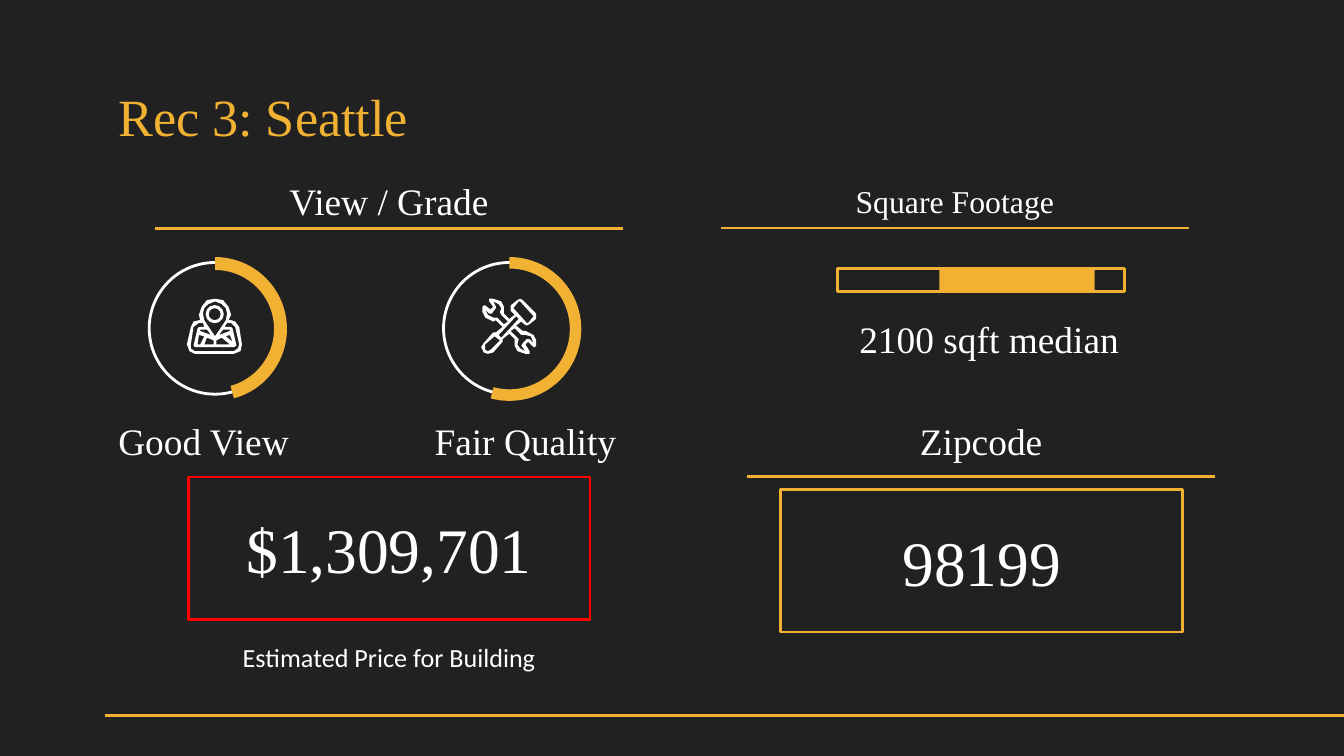
from lxml import etree
from pptx import Presentation
from pptx.dml.color import RGBColor
from pptx.enum.shapes import MSO_CONNECTOR, MSO_SHAPE
from pptx.enum.text import MSO_ANCHOR, MSO_AUTO_SIZE, PP_ALIGN
from pptx.oxml.ns import qn
from pptx.util import Inches, Pt

CENTER, LEFT = PP_ALIGN.CENTER, PP_ALIGN.LEFT
MIDDLE = MSO_ANCHOR.MIDDLE
NO_AUTOFIT = MSO_AUTO_SIZE.NONE
RECTANGLE, ROUNDED = MSO_SHAPE.RECTANGLE, MSO_SHAPE.ROUNDED_RECTANGLE
OVAL, DONUT, ARC = MSO_SHAPE.OVAL, MSO_SHAPE.DONUT, MSO_SHAPE.BLOCK_ARC
STRAIGHT = MSO_CONNECTOR.STRAIGHT

DARK = RGBColor(0x21, 0x21, 0x21)
GOLD = RGBColor(0xF1, 0xB2, 0x34)
WHITE = RGBColor(0xFF, 0xFF, 0xFF)
RED = RGBColor(0xFF, 0x00, 0x00)
SERIF, SANS = "Times New Roman", "Calibri"
LINE_WIDTH = Pt(1.5)

# The grid has 100 columns and 56.25 rows of a tenth of an inch
COLUMNS, ROWS = 100, 56.25
ICON_UNIT = Inches(0.01)

# Icon contours in hundredths of an inch; inner ones cut holes
MAP_PIN = [
    [(21, 0), (15, 1), (11, 6), (9, 12), (10, 16), (9, 16), (5, 17), (3, 21), (0, 34),
     (2, 39), (6, 41), (35, 41), (40, 39), (41, 34), (39, 21), (36, 17), (33, 16),
     (31, 16), (33, 12), (31, 6), (27, 1)],
    [(21, 2), (26, 4), (29, 7), (30, 11), (29, 16), (21, 28), (13, 16), (12, 11),
     (13, 7), (16, 4)],
    [(33, 18), (36, 21), (39, 34), (38, 37), (35, 39), (6, 39), (3, 37), (3, 34),
     (5, 21), (9, 18), (12, 18), (13, 21), (9, 21), (8, 22), (5, 35), (6, 36),
     (35, 36), (37, 35), (34, 22), (33, 21), (28, 21), (30, 18)],
    [(15, 23), (18, 27), (10, 24), (10, 23)],
    [(32, 23), (32, 24), (24, 27), (27, 23)],
    [(32, 27), (34, 32), (29, 28)],
    [(9, 27), (13, 28), (10, 34), (8, 34)],
    [(15, 29), (20, 31), (20, 34), (13, 34)],
    [(26, 29), (32, 34), (22, 34), (22, 31)],
]
TOOLS = [
    [(29, 0), (27, 1), (22, 5), (22, 9), (25, 12), (21, 15), (17, 11), (17, 6), (15, 2),
     (9, 0), (6, 0), (6, 2), (9, 6), (7, 8), (3, 5), (2, 5), (1, 6), (1, 10), (3, 14),
     (9, 17), (11, 16), (16, 21), (11, 25), (9, 25), (2, 33), (0, 36), (2, 40), (5, 41),
     (9, 40), (16, 32), (16, 30), (21, 26), (25, 30), (25, 35), (27, 39), (33, 41),
     (36, 41), (36, 39), (33, 34), (35, 32), (39, 36), (40, 36), (41, 35), (41, 31),
     (39, 27), (33, 24), (31, 24), (26, 20), (30, 17), (32, 19), (34, 20), (36, 19),
     (41, 15), (41, 11), (31, 1)],
    [(29, 2), (39, 13), (35, 18), (34, 18), (24, 7), (28, 2)],
    [(9, 2), (13, 4), (15, 7), (14, 10), (15, 12), (20, 17), (17, 19), (12, 14),
     (9, 14), (5, 12), (3, 8), (6, 11), (8, 11), (11, 7), (11, 6)],
    [(26, 13), (28, 15), (15, 29), (13, 27)],
    [(10, 28), (14, 31), (7, 38), (5, 39), (3, 38), (3, 34)],
    [(25, 22), (30, 27), (33, 27), (37, 28), (39, 33), (36, 30), (34, 30), (31, 33),
     (30, 35), (33, 39), (29, 37), (27, 34), (28, 30), (27, 29), (22, 24)],
]


def grid(*cells):
    return [Inches(cell / 10) for cell in cells]


def write_text(shape, text, size=20, font=SERIF, color=WHITE, align=CENTER, insets=(0, 0)):
    frame = shape.text_frame
    frame.word_wrap = True
    frame.auto_size = NO_AUTOFIT
    frame.vertical_anchor = MIDDLE
    frame.margin_left = frame.margin_right = grid(insets[0])[0]
    frame.margin_top = frame.margin_bottom = grid(insets[1])[0]
    paragraph = frame.paragraphs[0]
    paragraph.alignment = align
    run = paragraph.add_run()
    run.text = text
    run.font.size = Pt(size)
    run.font.name = font
    run.font.color.rgb = color


def add_text(slide, box, text, **text_format):
    write_text(slide.shapes.add_textbox(*grid(*box)), text, **text_format)


def paint(shape, fill=None, line=None):
    shape.shadow.inherit = False
    if fill is None:
        shape.fill.background()
    else:
        shape.fill.solid()
        shape.fill.fore_color.rgb = fill
    if line is None:
        shape.line.fill.background()
    else:
        shape.line.color.rgb = line
        shape.line.width = LINE_WIDTH


def add_figure(slide, kind, box, fill=None, line=None, adjustments=()):
    shape = slide.shapes.add_shape(kind, *grid(*box))
    paint(shape, fill, line)
    for index, value in enumerate(adjustments):
        shape.adjustments[index] = value
    return shape


def add_rule(slide, left, top, width):
    rule = slide.shapes.add_connector(STRAIGHT, *grid(left, top, left + width, top))
    rule.line.color.rgb = GOLD
    rule.line.width = LINE_WIDTH
    etree.SubElement(rule._element.spPr, qn("a:effectLst"))


def add_icon(slide, left, top, contours):
    builder = slide.shapes.build_freeform(*contours[0][0], scale=ICON_UNIT)
    for index, contour in enumerate(contours):
        if index:
            builder.move_to(*contour[0])
        builder.add_line_segments(contour[1:], close=True)
    paint(builder.convert_to_shape(*grid(left, top)), fill=WHITE)


def add_title(slide, box, text):
    title = slide.shapes.title
    title.left, title.top, title.width, title.height = grid(*box)
    write_text(title, text, size=28, color=GOLD, align=LEFT, insets=(1, 1))


def add_heading(slide, box, text, size=20, rule_drop=3.8):
    left, top, width, _ = box
    add_text(slide, box, text, size=size, insets=(1, 1))
    add_rule(slide, left + 3.65, top + rule_drop, width - 7.3)


def add_gauge(slide, box, end_angle, thickness, contours):
    left, top, width, height = box
    add_figure(slide, OVAL, box, line=WHITE)
    # Block arc angles are stored as 0.6 per degree
    arc = add_figure(slide, ARC, (left - 0.45, top - 0.4, width + 0.9, height + 0.9),
                     fill=GOLD, adjustments=(180 * 0.6, end_angle * 0.6, thickness))
    arc.rotation = 90
    add_icon(slide, left + 2.8, top + 2.7, contours)


def add_footage_bar(slide, box):
    left, top, width, height = box
    add_figure(slide, ROUNDED, box, line=GOLD, adjustments=(0,))
    add_figure(slide, ROUNDED, (left + 0.355 * width, top, 0.54 * width, height),
               fill=GOLD, adjustments=(0,))
    add_text(slide, (left - 1.4, top + 3.45, width + 4, 3.5), "2100 sqft median", insets=(0, 1))


def add_value_box(slide, box, text, color):
    write_text(add_figure(slide, RECTANGLE, box, line=color), text, size=34)


def main():
    presentation = Presentation()
    presentation.slide_width, presentation.slide_height = grid(COLUMNS, ROWS)
    slide = presentation.slides.add_slide(presentation.slide_layouts[5])
    slide.background.fill.solid()
    slide.background.fill.fore_color.rgb = DARK

    # Title and bottom rule
    add_title(slide, (7.8, 6, 84.4, 5.2), "Rec 3: Seattle")
    add_rule(slide, 7.8, 53.23, COLUMNS - 7.8)

    # View and grade
    add_heading(slide, (7.9, 13.2, 42.1, 3.5), "View / Grade")
    add_gauge(slide, (11.1, 19.53, 9.8, 9.8), 344.8, 0.09, MAP_PIN)
    add_figure(slide, DONUT, (15.3, 22.7, 1.35, 1.35), fill=WHITE, adjustments=(0.17,))
    add_gauge(slide, (33, 19.53, 9.8, 9.8), 15.18, 0.08, TOOLS)
    add_text(slide, (6.5, 31.45, 17.3, 2.7), "Good View")
    add_text(slide, (27.6, 31.45, 23, 2.7), "Fair Quality")

    # Estimated price
    add_value_box(slide, (14, 35.5, 29.9, 10.6), "$1,309,701", RED)
    add_text(slide, (14, 47.4, 29.9, 3), "Estimated Price for Building", size=14, font=SANS)

    # Square footage
    add_heading(slide, (50, 13.17, 42.1, 3.5), "Square Footage", size=17)
    add_footage_bar(slide, (62.3, 20, 21.4, 1.7))

    # Zipcode
    add_heading(slide, (51.95, 31.05, 42.1, 3.5), "Zipcode", rule_drop=4.4)
    add_value_box(slide, (58.1, 36.43, 29.9, 10.6), "98199", GOLD)

    presentation.save("out.pptx")


if __name__ == "__main__":
    main()
